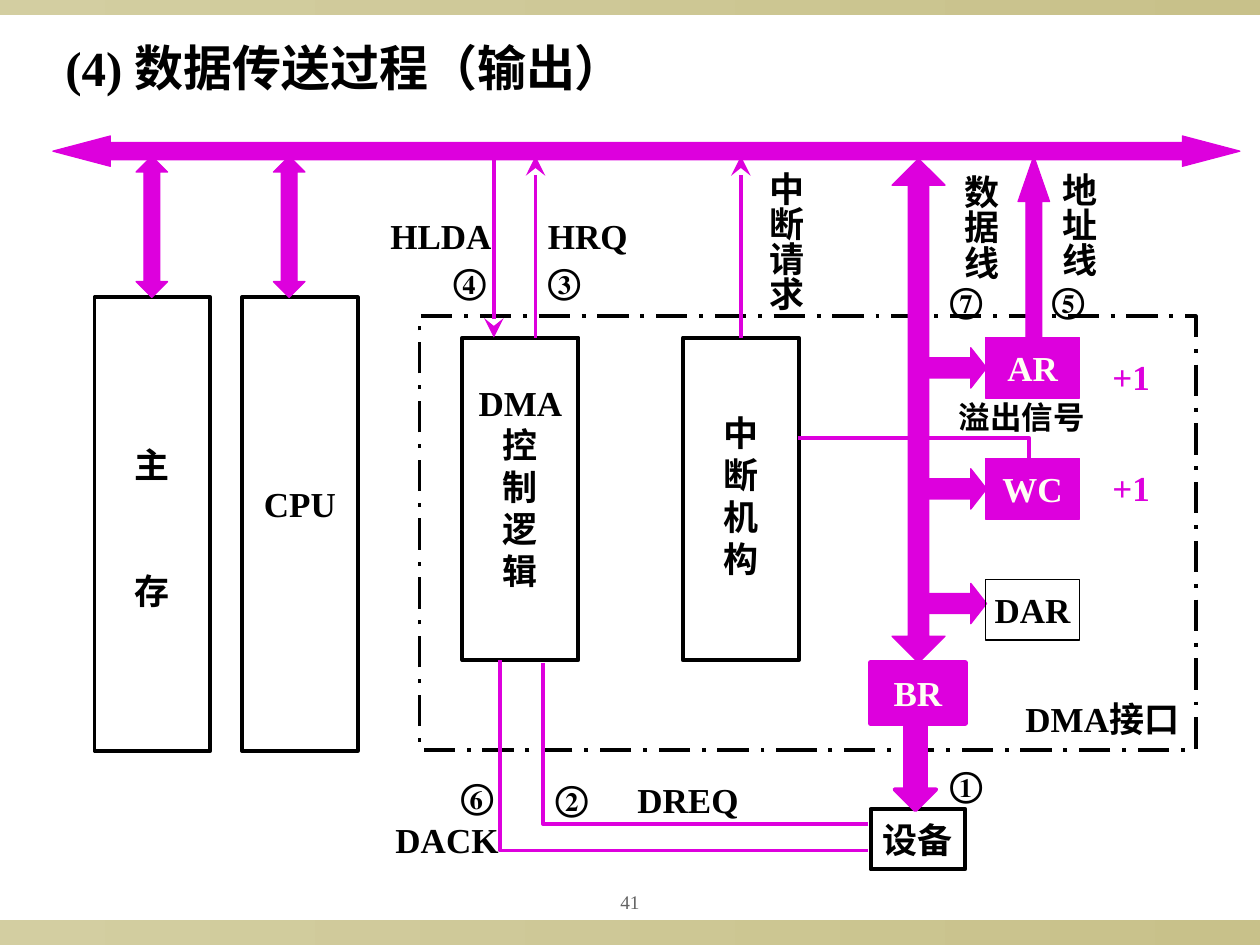
from lxml.etree import SubElement
from pptx import Presentation
from pptx.dml.color import RGBColor
from pptx.enum.dml import MSO_LINE as Dash
from pptx.enum.shapes import MSO_CONNECTOR, MSO_SHAPE as Kind
from pptx.enum.text import MSO_ANCHOR as Anchor, MSO_AUTO_SIZE as Fit, PP_ALIGN as Align
from pptx.oxml.ns import qn
from pptx.util import Inches, Pt

FONT = "Times New Roman"
PINK, BLACK, CREAM, GREY = "DD00DD", "000000", "FFFFF4", "636363"
TOP = 1.24      # where signals meet the bus
UNIT_TOP = 2.68  # top of the units inside the interface

BANDS = [(0, 0.12), (7.3, 0.2)]  # top, height

# text, left, top, width, height, lift of the text above the middle
BOXES = [
    ("主\n存", 0.75, 2.36, 0.92, 3.6, -0.03),
    ("CPU", 1.92, 2.36, 0.92, 3.6, 0.16),
    ("DMA\n控\n制\n逻\n辑", 3.67, UNIT_TOP, 0.92, 2.56, 0.1),
    ("中\n断\n机\n构", 5.42, UNIT_TOP, 0.92, 2.56, 0.03),
    ("设备", 6.91, 6.42, 0.75, 0.48, 0),
]
# text, left, top, fill, line width
REGISTERS = [
    ("AR", 7.82, UNIT_TOP, PINK, 0.75),
    ("WC", 7.82, 3.64, PINK, 0.75),
    ("DAR", 7.82, 4.6, None, 0.75),
    ("BR", 6.91, 5.26, PINK, 3),
]
# kind, left, top, width, height, adjustments, rotation
ARROWS = [
    (Kind.LEFT_RIGHT_ARROW, 0.42, 1.08, 9.42, 0.24, (0.568, 1.896), 0),
    *[(Kind.RIGHT_ARROW, 7.33, y, 0.5, 0.32, (0.5, 0.391), 0)
      for y in (2.76, 3.72, 4.63)],
    *[(Kind.UP_DOWN_ARROW, x, TOP, 0.25, 1.12, (0.896, 0.5), 0)
      for x in (1.08, 2.17)],
    (Kind.UP_DOWN_ARROW, 7.08, 1.26, 0.42, 4, (0.696, 0.383), 0),
    (Kind.UP_ARROW, 8.08, TOP, 0.25, 1.44, (0.5, 1.438), 0),
    (Kind.UP_ARROW, 7.1, 5.76, 0.33, 0.67, (0.5, 0.5), 180),
]
# x, start y, end y
SIGNALS = [(4.25, UNIT_TOP, TOP), (3.92, TOP, UNIT_TOP), (5.88, UNIT_TOP, TOP)]
WIRES = [
    [(6.89, 6.54), (4.31, 6.54), (4.31, 5.26)],
    [(3.97, 5.24), (3.97, 6.75), (6.89, 6.75)],
    [(8.17, 3.64), (8.17, 3.48), (6.33, 3.48)],
]
# text, left, top, width, size, colour
LABELS = [
    ("HLDA", 3, 1.65, 1.2, 20, BLACK),
    ("HRQ", 4.25, 1.65, 1, 20, BLACK),
    ("DREQ", 4.96, 6.13, 1.2, 20, BLACK),
    ("DACK", 3.04, 6.45, 1.2, 20, BLACK),
    ("DMA接口", 8.04, 5.49, 1.6, 20, BLACK),
    ("溢出信号", 7.51, 3.11, 1.3, 18, BLACK),
    ("+1", 8.73, 2.77, 0.6, 20, PINK),
    ("+1", 8.73, 3.65, 0.6, 20, PINK),
]
STEPS = [("①", 7.44, 6), ("②", 4.31, 6.11), ("③", 4.25, 2.01), ("④", 3.5, 2.01),
         ("⑤", 8.25, 2.16), ("⑥", 3.56, 6.1), ("⑦", 7.44, 2.16)]
LABELS += [(mark, x, y, 0.48, 20, BLACK) for mark, x, y in STEPS]
# text, left, top, height
UPRIGHT = [("中断请求", 5.92, 1.26, 1.22), ("数据线", 7.47, 1.29, 0.94),
           ("地址线", 8.25, 1.27, 0.94)]

deck = Presentation()
deck.slide_width, deck.slide_height = Inches(10), Inches(7.5)
shapes = deck.slides.add_slide(deck.slide_layouts[6]).shapes


def rgb(code):
    return RGBColor.from_string(code)


def paint(shape, fill=None, line=BLACK, width=2.25):
    shape.shadow.inherit = False
    if fill:
        shape.fill.solid()
        shape.fill.fore_color.rgb = rgb(fill)
    else:
        shape.fill.background()
    shape.line.color.rgb = rgb(line)
    shape.line.width = Pt(width)


def add(kind, *at):
    return shapes.add_shape(kind, *map(Inches, at))


def style(frame, size=20, color=BLACK, bold=True, align=None):
    for para in frame.paragraphs:
        para.alignment = align
        for run in para.runs:
            font = run.font
            font.name, font.size, font.bold = FONT, Pt(size), bold
            font.color.rgb = rgb(color)


def inset(frame, side, edge):
    frame.margin_left = frame.margin_right = Inches(side)
    frame.margin_top = frame.margin_bottom = Inches(edge)


def box(text, at, lift=0, fill=None, width=2.25):
    """Rectangle with centred text."""
    shape = add(Kind.RECTANGLE, *at)
    paint(shape, fill, fill or BLACK, width)
    frame = shape.text_frame
    frame.text = text
    frame.word_wrap = False
    frame.vertical_anchor = Anchor.MIDDLE
    inset(frame, 0, 0)
    if lift > 0:
        frame.margin_bottom = Inches(2 * lift)
    else:
        frame.margin_top = Inches(-2 * lift)
    style(frame, color=CREAM if fill else BLACK, align=Align.CENTER)
    return shape


def label(text, at, size=20, color=BLACK):
    frame = shapes.add_textbox(*map(Inches, at)).text_frame
    frame.text = text
    frame.word_wrap = True
    frame.auto_size = Fit.SHAPE_TO_FIT_TEXT
    inset(frame, 0.1, 0.05)
    style(frame, size, color)
    return frame


for y, h in BANDS:
    band = add(Kind.RECTANGLE, 0, y, 10, h)
    paint(band)
    band.line.fill.background()
    band.fill.gradient()
    band.fill.gradient_angle = 0
    for stop, code, pos in zip(band.fill.gradient_stops, ("D3CEA1", "C8C18A"), (0, 1)):
        stop.color.rgb = rgb(code)
        stop.position = pos

label("(4) 数据传送过程（输出）", (0.42, 0.25, 6.25, 0.57), 28)

border = add(Kind.RECTANGLE, 3.33, 2.51, 6.16, 3.44)
paint(border)
border.line.dash_style = Dash.LONG_DASH_DOT

units = {text: box(text, at, lift) for text, *at, lift in BOXES}
units["主\n存"].text_frame.paragraphs[1].space_before = Pt(48)

for kind, *at, adjust, turn in ARROWS:
    arrow = add(kind, *at)
    paint(arrow, PINK, PINK, 2.25 if turn else 0.75)
    arrow.rotation = turn
    for i, value in enumerate(adjust):
        arrow.adjustments[i] = value

for x, start, end in SIGNALS:
    wire = shapes.add_connector(MSO_CONNECTOR.STRAIGHT, *map(Inches, (x, start, x, end)))
    wire.line.color.rgb = rgb(PINK)
    wire.line.width = Pt(2.25)
    SubElement(wire.line._get_or_add_ln(), qn("a:tailEnd"),
               type="stealth", w="lg", len="lg")
    SubElement(wire._element.spPr, qn("a:effectLst"))
wire.begin_connect(units["中\n断\n机\n构"], 0)

for first, *rest in WIRES:
    path = shapes.build_freeform(*map(Inches, first))
    path.add_line_segments([(Inches(x), Inches(y)) for x, y in rest], close=False)
    paint(path.convert_to_shape(), line=PINK)

for text, x, y, fill, width in REGISTERS:
    box(text, (x, y, 0.75, 0.48), fill=fill, width=width)

for text, x, y, w, size, color in LABELS:
    label(text, (x, y, w, 0.4 if size < 20 else 0.44), size, color)

for text, x, y, h in UPRIGHT:
    frame = label(text, (x, y, 0.53, h))
    inset(frame, 0.05, 0.1)
    frame.word_wrap = False
    frame._txBody.bodyPr.set("vert", "eaVert")

number = label("41", (4.5, 7, 1, 0.31))
inset(number, 0.05, 0.05)
number.auto_size = Fit.NONE
number.vertical_anchor = Anchor.MIDDLE
style(number, 11, GREY, False, Align.CENTER)

deck.save("out.pptx")
